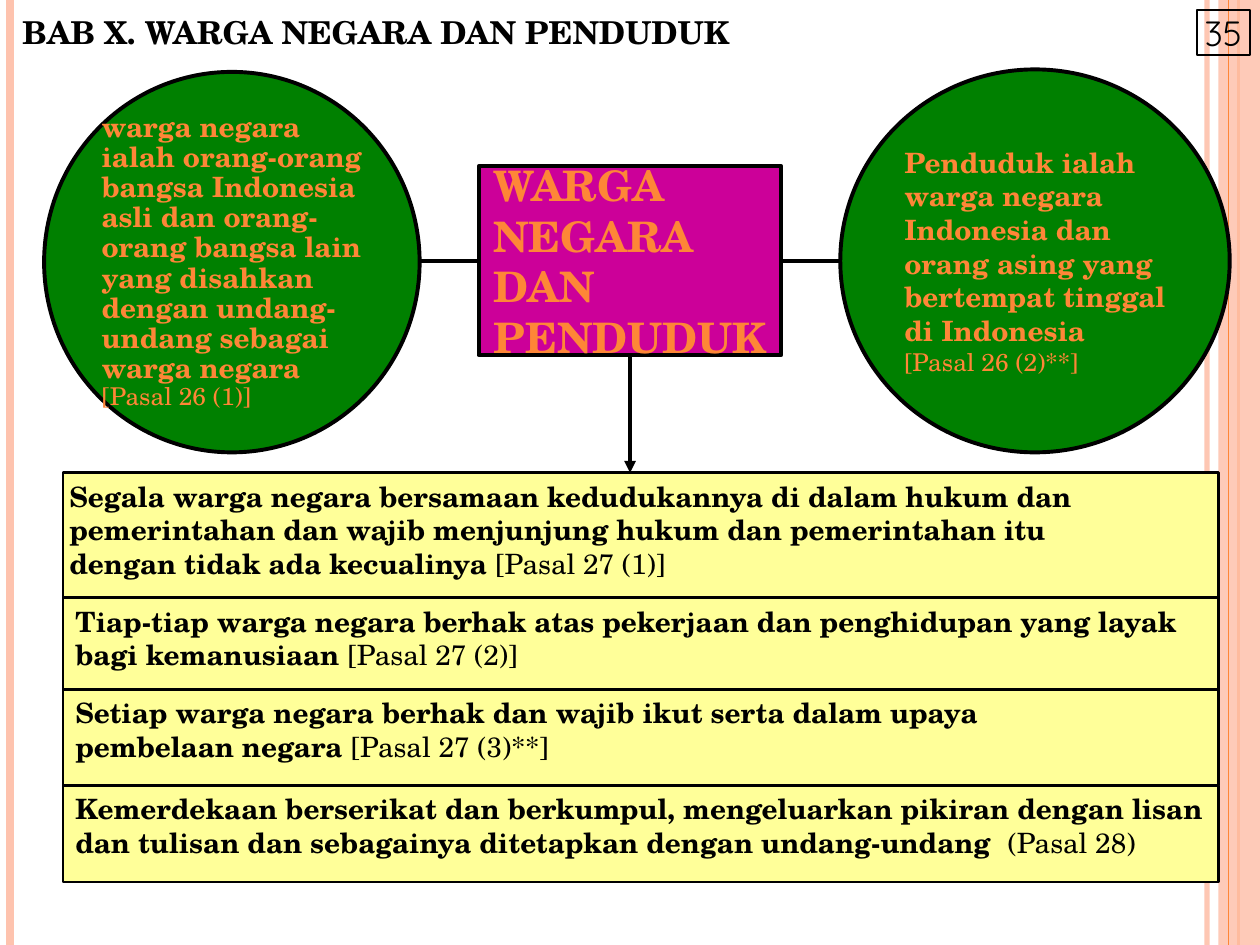
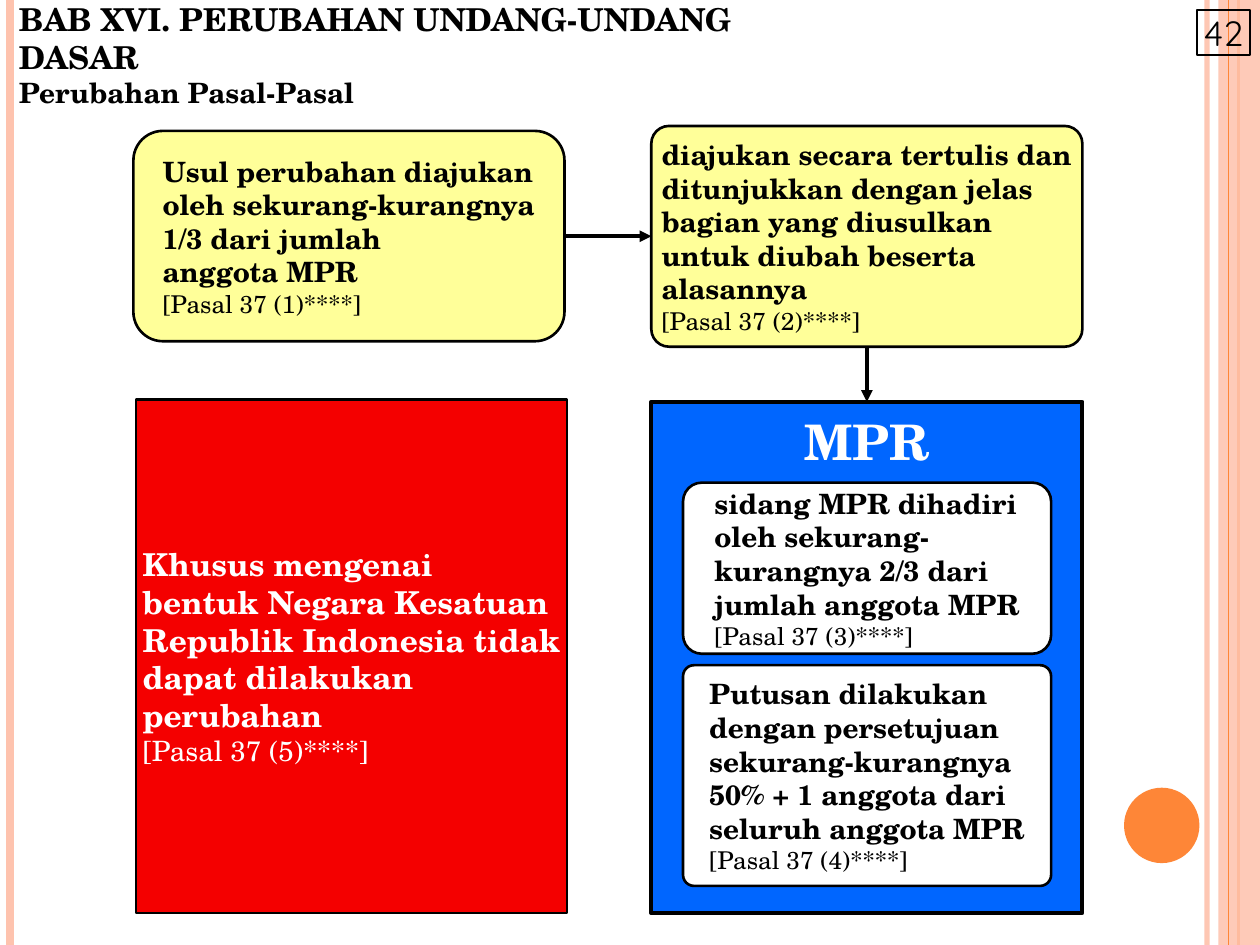
from lxml import etree
from pptx import Presentation
from pptx import util as u
from pptx.dml.color import RGBColor
from pptx.enum import shapes, text
from pptx.oxml import ns

Cm, Pt = u.Cm, u.Pt
KIND = shapes.MSO_SHAPE
ANCHOR = text.MSO_ANCHOR

COLORS = {
    "black": "000000", "white": "FFFFFF", "orange": "FE8637", "peach": "FEC3AE",
    "yellow": "FFFF99", "green": "008000", "magenta": "CC0099", "blue": "0066FF",
    "red": "F40000",
}
SERIF, NUMERAL = "TeX Gyre Schola", "Quicksand"
WIDTH, HEIGHT = 25.4, 19.05

STRIPES = [(24.33, "peach", 3, 93), (0.2, "peach", 4.5, 100), (24.97, "orange", 1.5, 100)]
BAND_LEFT, BAND_ALPHA = 24.56, 87
THIN_STRIPE = (24.77, "orange", 0.75, 100)
NUMBER_BOX = (24.13, 0.2, 1.07, 0.91)
ORNAMENT = (22.66, 15.88, 1.52, 1.52)


def clause(*lines, article, size=16, small=14):
    return [[(line, size, True)] for line in lines] + [[(article, size and small, False)]]


CITIZENS = {
    "number": "35",
    "title": [[("BAB X. WARGA NEGARA DAN PENDUDUK", 18, True)]],
    "title_box": (0.2, 0.13, 17.2, 0.94),
}
CITIZEN = clause(
    "warga negara ialah orang-orang bangsa Indonesia asli dan orang-orang bangsa lain "
    "yang disahkan dengan undang-undang sebagai warga negara", article="[Pasal 26 (1)]")
RESIDENT = clause(
    "Penduduk ialah warga negara Indonesia dan orang asing yang bertempat tinggal di Indonesia",
    article="[Pasal 26 (2)**]")
HUB = [[("WARGA NEGARA DAN PENDUDUK", 24, True)]]
RIGHTS_LEFT, RIGHTS_TOP, RIGHTS_WIDTH = 1.27, 9.53, 23.29
RIGHTS = [
    (2.52, 0.13, [
        [("Segala warga negara bersamaan kedudukannya di dalam hukum dan "
          "pemerintahan dan wajib menjunjung hukum dan pemerintahan itu", 16, True)],
        [("dengan tidak ada kecualinya ", 16, True), ("[Pasal 27 (1)]", 16, False)]]),
    (1.85, 0.25, [
        [("Tiap-tiap warga negara berhak atas pekerjaan dan penghidupan yang layak "
          "bagi kemanusiaan ", 16, True), ("[Pasal 27 (2)]", 16, False)]]),
    (1.93, 0.25, [
        [("Setiap warga negara berhak dan wajib ikut serta dalam upaya", 16, True)],
        [("pembelaan negara ", 16, True), ("[Pasal 27 (3)**]", 16, False)]]),
    (1.95, 0.25, [
        [("Kemerdekaan berserikat dan berkumpul, mengeluarkan pikiran dengan lisan "
          "dan tulisan dan sebagainya ditetapkan dengan undang-undang  ", 16, True),
         ("(Pasal 28)", 16, False)]]),
]

AMENDMENT = {
    "number": "42",
    "title": [[("BAB XVI. PERUBAHAN UNDANG-UNDANG DASAR", 18, True)],
              [("Perubahan Pasal-Pasal", 16, True)]],
    "title_box": (0.13, -0.13, 16.15, 1.75),
}
PROPOSAL = clause("Usul perubahan diajukan oleh sekurang-kurangnya 1/3 dari jumlah",
                  "anggota MPR", article="[Pasal 37 (1)****]")
SUBMISSION = clause(
    "diajukan secara tertulis dan ditunjukkan dengan jelas bagian yang diusulkan "
    "untuk diubah beserta alasannya", article="[Pasal 37 (2)****]")
EXCEPTION = clause(
    "Khusus mengenai",
    "bentuk Negara Kesatuan Republik Indonesia tidak dapat dilakukan perubahan",
    article="[Pasal 37 (5)****]", size=18, small=16)
ASSEMBLY = [[("MPR", 28, True)]]
SESSIONS = [
    ((13.77, 9.73, 7.42, 3.45), 0.11, clause(
        "sidang MPR dihadiri oleh sekurang-kurangnya 2/3 dari jumlah anggota MPR",
        article="[Pasal 37 (3)****]")),
    ((13.77, 13.41, 7.42, 4.45), 0.05, clause(
        "Putusan dilakukan dengan persetujuan sekurang-kurangnya 50% + 1 anggota "
        "dari seluruh anggota MPR", article="[Pasal 37 (4)****]")),
]


def rgb(name):
    return RGBColor.from_string(COLORS[name])


def set_alpha(element, percent):
    if percent < 100:
        color = next(element.iter(ns.qn("a:srgbClr")))
        etree.SubElement(color, ns.qn("a:alpha"), val=str(percent * 1000))


def write(frame, paras, color="black", font=SERIF, anchor=ANCHOR.TOP, inset=(0.25, 0.13),
          centered=False, spacing=1.0):
    frame.word_wrap = True
    frame.auto_size = text.MSO_AUTO_SIZE.NONE
    frame.vertical_anchor = anchor
    frame.margin_left = frame.margin_right = Cm(inset[0])
    frame.margin_top = frame.margin_bottom = Cm(inset[1])
    if centered:
        frame._txBody.bodyPr.set("anchorCtr", "1")
    for index, spans in enumerate(paras):
        para = frame.paragraphs[0] if index == 0 else frame.add_paragraph()
        para.alignment = text.PP_ALIGN.LEFT
        para.line_spacing = spacing
        for words, size, bold in spans:
            span = para.add_run()
            span.text = words
            span.font.name, span.font.size, span.font.bold = font, Pt(size), bold
            span.font.color.rgb = rgb(color)


def add_box(page, place, kind=KIND.RECTANGLE, fill=None, line=None, alpha=100,
            corner=None, paras=None, **style):
    box = page.shapes.add_shape(kind, *map(Cm, place))
    box.shadow.inherit = False
    if corner is not None:
        box.adjustments[0] = corner
    if fill:
        box.fill.solid()
        box.fill.fore_color.rgb = rgb(fill)
        set_alpha(box._element.spPr, alpha)
    else:
        box.fill.background()
    if line:
        box.line.color.rgb = rgb("black")
        box.line.width = Pt(line)
    else:
        box.line.fill.background()
    if paras:
        write(box.text_frame, paras, **style)
    return box


def add_line(page, start, end, color="black", width=2.25, alpha=100, arrow=False):
    line = page.shapes.add_connector(shapes.MSO_CONNECTOR.STRAIGHT, *start, *end)
    line.line.color.rgb = rgb(color)
    line.line.width = Pt(width)
    set_alpha(line._element.spPr, alpha)
    if arrow:
        etree.SubElement(line.line._get_or_add_ln(), ns.qn("a:tailEnd"), type="triangle")
    etree.SubElement(line._element.spPr, ns.qn("a:effectLst"))


def link_across(page, first, second, arrow=False):
    middle = (first.top + first.height // 2 + second.top + second.height // 2) // 2
    add_line(page, (first.left + first.width, middle), (second.left, middle), arrow=arrow)


def link_down(page, upper, lower):
    middle = upper.left + upper.width // 2
    add_line(page, (middle, upper.top + upper.height), (middle, lower.top), arrow=True)


def add_stripe(page, left, color, width, alpha):
    add_line(page, (Cm(left), 0), (Cm(left), Cm(HEIGHT)), color, width, alpha)


def add_page(deck, heading, ornament=False):
    page = deck.slides.add_slide(deck.slide_layouts[5])
    for stripe in STRIPES:
        add_stripe(page, *stripe)
    add_box(page, (BAND_LEFT, 0, WIDTH - BAND_LEFT, HEIGHT), fill="peach", alpha=BAND_ALPHA)
    add_stripe(page, *THIN_STRIPE)
    if ornament:
        add_box(page, ORNAMENT, KIND.OVAL, fill="orange")
    title = page.shapes.title
    title.left, title.top, title.width, title.height = map(Cm, heading["title_box"])
    write(title.text_frame, heading["title"])
    add_box(page, NUMBER_BOX, line=0.75, paras=[[(heading["number"], 20, False)]],
            font=NUMERAL, anchor=ANCHOR.MIDDLE, inset=(0, 0), centered=True)
    return page


def build_citizens(deck):
    page = add_page(deck, CITIZENS)
    middle = {"line": 2.25, "color": "orange", "anchor": ANCHOR.MIDDLE, "centered": True}
    circle = {"kind": KIND.OVAL, "fill": "green", "inset": (0, 0), **middle}
    citizen = add_box(page, (0.89, 1.45, 7.57, 7.67), paras=CITIZEN, spacing=0.9, **circle)
    resident = add_box(page, (16.94, 1.4, 7.85, 7.72), paras=RESIDENT, **circle)
    hub = add_box(page, (9.65, 3.35, 6.1, 3.81), fill="magenta", paras=HUB,
                  inset=(0, 0.13), **middle)
    top, rows = RIGHTS_TOP, []
    for height, side, paras in RIGHTS:
        rows.append(add_box(page, (RIGHTS_LEFT, top, RIGHTS_WIDTH, height), fill="yellow",
                            line=1.5, paras=paras, inset=(side, 0.13)))
        top += height
    link_across(page, citizen, hub)
    link_across(page, hub, resident)
    link_down(page, hub, rows[0])


def build_amendment(deck):
    page = add_page(deck, AMENDMENT, ornament=True)
    middle = {"line": 1.5, "anchor": ANCHOR.MIDDLE, "centered": True, "inset": (0.1, 0.1)}
    rounded = {"kind": KIND.ROUNDED_RECTANGLE, **middle}
    proposal = add_box(page, (2.69, 2.64, 8.69, 4.24), fill="yellow", corner=0.14,
                       paras=PROPOSAL, **rounded)
    submission = add_box(page, (13.13, 2.54, 8.69, 4.45), fill="yellow", corner=0.08,
                         paras=SUBMISSION, **rounded)
    add_box(page, (2.74, 8.05, 8.69, 10.36), fill="red", color="white",
            paras=EXCEPTION, **middle)
    assembly = add_box(page, (13.13, 8.1, 8.69, 10.31), fill="blue", line=2.25,
                       color="white", paras=ASSEMBLY, inset=(0.2, 0.2), centered=True)
    for place, corner, paras in SESSIONS:
        add_box(page, place, fill="white", corner=corner, paras=paras, **rounded)
    link_across(page, proposal, submission, arrow=True)
    link_down(page, submission, assembly)


def main():
    deck = Presentation()
    deck.slide_width, deck.slide_height = Cm(WIDTH), Cm(HEIGHT)
    build_citizens(deck)
    build_amendment(deck)
    deck.save("out.pptx")


if __name__ == "__main__":
    main()
